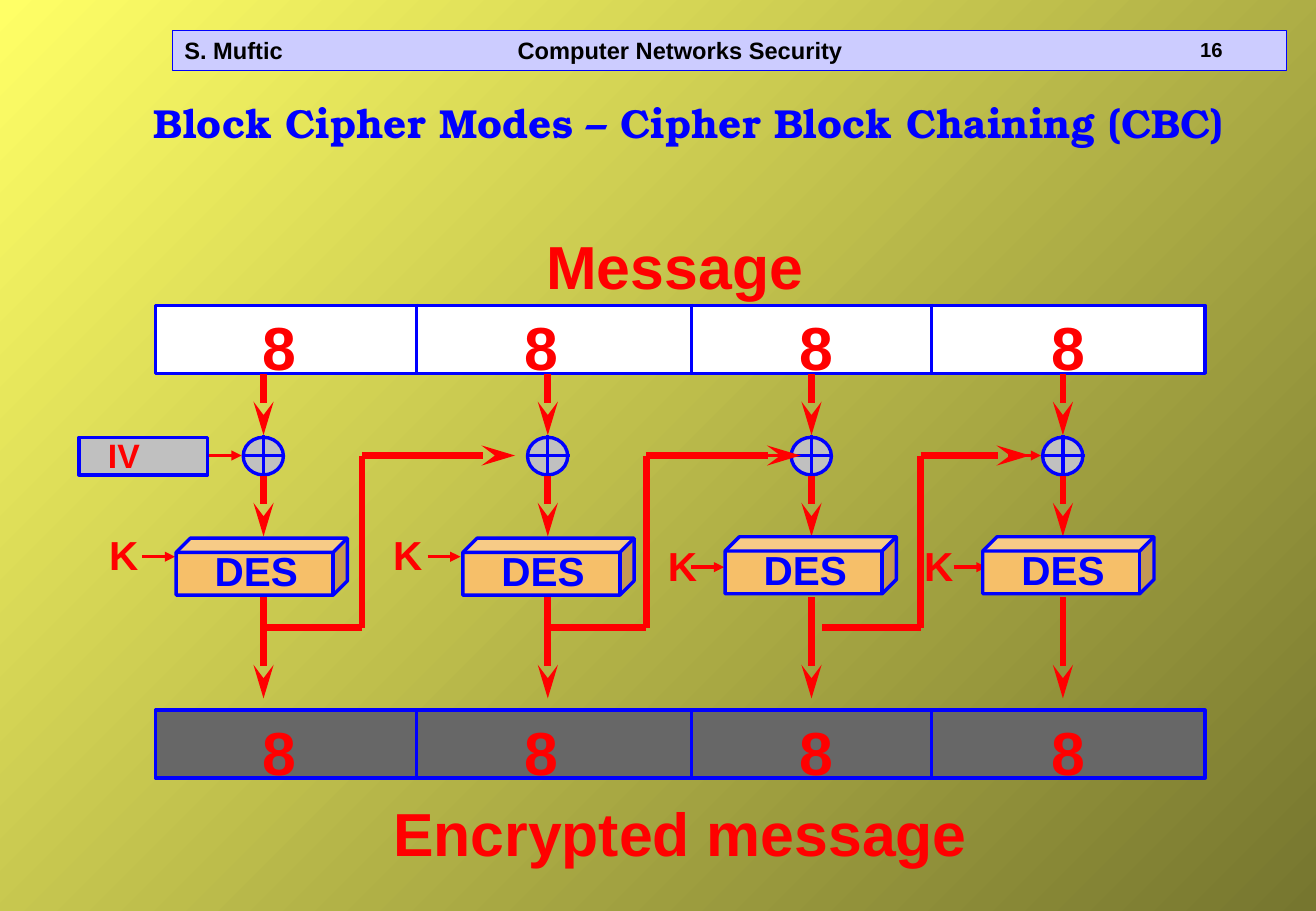
import pptx
import pptx.util
import pptx.dml.color
import pptx.enum.shapes
import pptx.enum.text
import pptx.oxml.ns
import lxml.etree

Pt = pptx.util.Pt
RGB = pptx.dml.color.RGBColor.from_string
SHAPES = pptx.enum.shapes.MSO_SHAPE
ANCHOR = pptx.enum.text.MSO_ANCHOR
qn = pptx.oxml.ns.qn


class Theme:
    glow, shade = "FFFF66", "76762F"
    banner, ink = "CCCCFF", "000000"
    blue, red = "0000FF", "FF0000"
    plain, cipher, gray, cube = "FFFFFF", "676767", "C0C0C0", "F6BF69"
    body_font, title_font = "Arial", "TeX Gyre Bonum"
    number, header, iv, label, big = 12, 14, 20, 24, 36
    hairline, thin, thick = 0.25, 2, 4


deck = pptx.Presentation()
deck.slide_width, deck.slide_height = Pt(780), Pt(540)
slide = deck.slides.add_slide(deck.slide_layouts[6])


def write(text, left, top, width, height, size=Theme.label, color=Theme.red,
          font=Theme.body_font, anchor=ANCHOR.TOP, wrap=False, tab=None):
    box = slide.shapes.add_textbox(Pt(left), Pt(top), Pt(width), Pt(height))
    frame = box.text_frame
    frame.word_wrap = wrap
    frame.vertical_anchor = anchor
    line = frame.paragraphs[0]
    if tab:
        stops = lxml.etree.SubElement(line._p.get_or_add_pPr(), qn("a:tabLst"))
        lxml.etree.SubElement(stops, qn("a:tab"), pos=str(Pt(tab)), algn="l")
    run = line.add_run()
    run.text = text
    run.font.size, run.font.bold, run.font.name = Pt(size), True, font
    run.font.color.rgb = RGB(color)


def draw(kind, left, top, width, height, fill, outline=Theme.thin):
    shape = slide.shapes.add_shape(kind, Pt(left), Pt(top), Pt(width), Pt(height))
    shape.shadow.inherit = False
    shape.fill.solid()
    shape.fill.fore_color.rgb = RGB(fill)
    shape.line.color.rgb = RGB(Theme.blue)
    shape.line.width = Pt(outline)


# Layout of the four chained blocks
chain_x = [156.2, 324.7, 481, 630]
cubes = [(104.4, 319), (274.3, 319), (429.8, 318.2), (582.5, 318.2)]
keys = [(57.6, 310.4), (226, 310.4), (388.8, 316.9), (540.7, 316.9)]
key_arrows = [(84.2, 330), (253.4, 330), (409.7, 336.2), (565.2, 336.2)]
byte_counts_x = [148.3, 303.8, 466.6, 616.3]
dividers_x = [247, 409.7, 552.2]
feedback = [(156.2, 305.3), (324.7, 474.5), (487.4, 610.6)]
rows = [(180, Theme.plain), (420, Theme.cipher)]
xor_y, tap_y = 270, 372

# Background
backdrop = slide.background.fill
backdrop.gradient()
backdrop.gradient_angle = 315
for stop, color in zip(backdrop.gradient_stops, (Theme.glow, Theme.shade)):
    stop.color.rgb = RGB(color)

# Header and titles
draw(SHAPES.RECTANGLE, 102.2, 18, 660.2, 23.8, Theme.banner, Theme.hairline)
write("S. Muftic\tComputer Networks Security", 102.2, 18, 648, 23.8,
      size=Theme.header, color=Theme.ink, anchor=ANCHOR.MIDDLE, wrap=True, tab=197.5)
write("16", 704.2, 18.7, 72, 21.6, size=Theme.number, color=Theme.ink, wrap=True)
write("Block Cipher Modes – Cipher Block Chaining (CBC)", 84.2, 54.7, 648.7, 36,
      color=Theme.blue, font=Theme.title_font)
write("Message", 316.8, 131.8, 166.3, 50.4, size=Theme.big)
write("Encrypted message", 226, 468, 355, 50.4, size=Theme.big)

# Message rows, initial vector and XOR circles
for row_top, row_fill in rows:
    draw(SHAPES.RECTANGLE, 92.2, row_top + 1, 622, 40.3, row_fill)
draw(SHAPES.RECTANGLE, 46.8, 259.2, 76.3, 22.3, Theme.gray)
for x in chain_x:
    draw(SHAPES.OVAL, x - 12, 259.2, 23.8, 22.3, Theme.gray)

# Lines: start, end, colour, width, arrowhead
blue_thin = (Theme.blue, Theme.thin, None)
red_thick = (Theme.red, Theme.thick, None)
flow_arrow = (Theme.red, Theme.thick, "stealth")
input_arrow = (Theme.red, Theme.thin, "triangle")
lines = [(x, top, x, top + 42, *blue_thin) for top, _ in rows for x in dividers_x]
for x in chain_x:
    lines += [(x, 258, x, 282, *blue_thin), (x - 13, xor_y, x + 13, xor_y, *blue_thin)]
    lines += [(x, top, x, bottom, *flow_arrow)
              for top, bottom in ((222, 258), (282, 318), (354, 414))]
lines += [(chain_x[i] - 32.4, xor_y, chain_x[i] - 13, xor_y, *input_arrow) for i in (0, 2, 3)]
lines += [(x, y, x + 19.5, y, *input_arrow) for x, y in key_arrows]
for start, end in feedback:
    turn = start + 58.3
    lines += [(start, tap_y, turn, tap_y, *red_thick),
              (turn, tap_y, turn, xor_y, *red_thick),
              (turn, xor_y, end, xor_y, *flow_arrow)]

for x1, y1, x2, y2, color, width, head in lines:
    link = slide.shapes.add_connector(pptx.enum.shapes.MSO_CONNECTOR.STRAIGHT,
                                      Pt(x1), Pt(y1), Pt(x2), Pt(y2))
    link.line.color.rgb = RGB(color)
    link.line.width = Pt(width)
    if head:
        lxml.etree.SubElement(link.line._get_or_add_ln(), qn("a:tailEnd"), type=head,
                              w="med", len="lg" if head == "stealth" else "med")
    lxml.etree.SubElement(link._element.spPr, qn("a:effectLst"))

# DES cubes
for left, top in cubes:
    draw(SHAPES.CUBE, left, top, 101.5, 33.8, Theme.cube)
    write("DES", left + 15.8, top + 1.4, 64, 36, color=Theme.blue)

# Block sizes, keys and initial vector
for row_top, _ in rows:
    for left in byte_counts_x:
        write("8", left, row_top, 44.6, 50.4, size=Theme.big)
for left, top in keys:
    write("K", left, top, 31.7, 36)
write("IV", 56.9, 254.3, 33.3, 31, size=Theme.iv)

deck.save("out.pptx")
